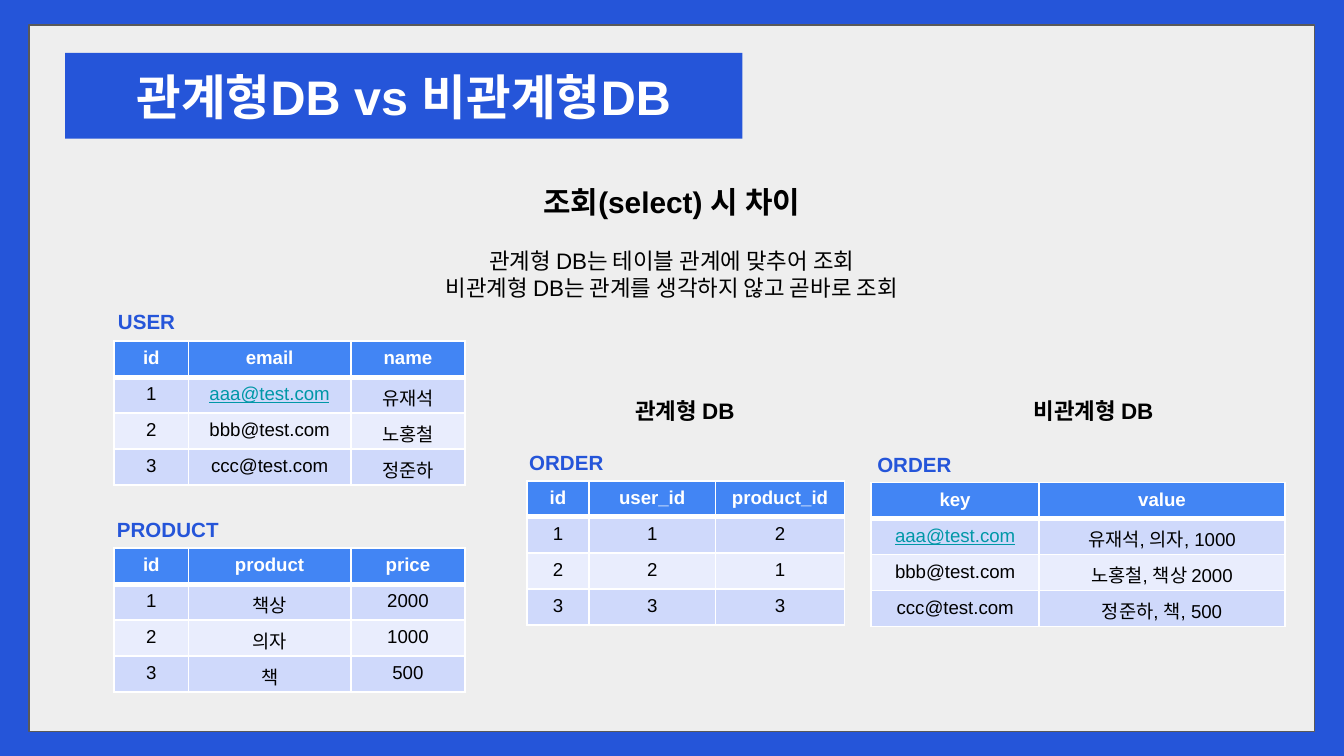
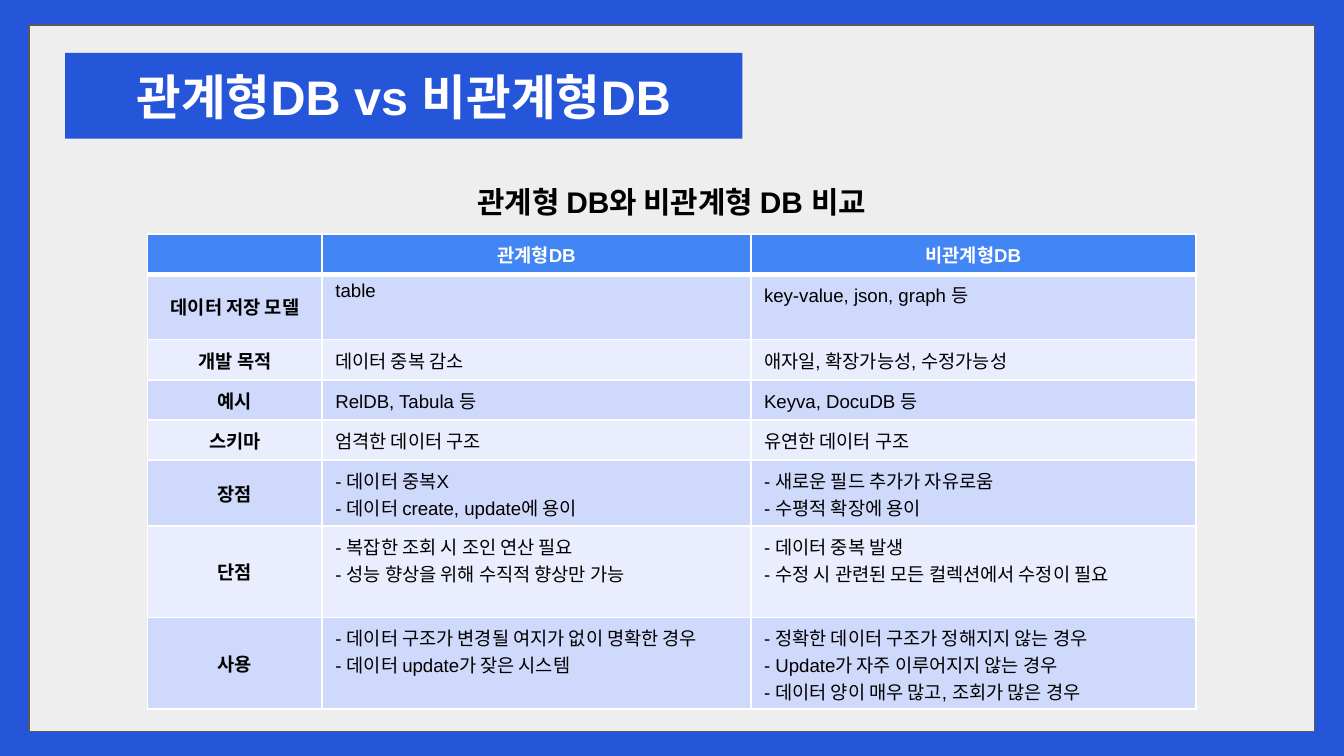
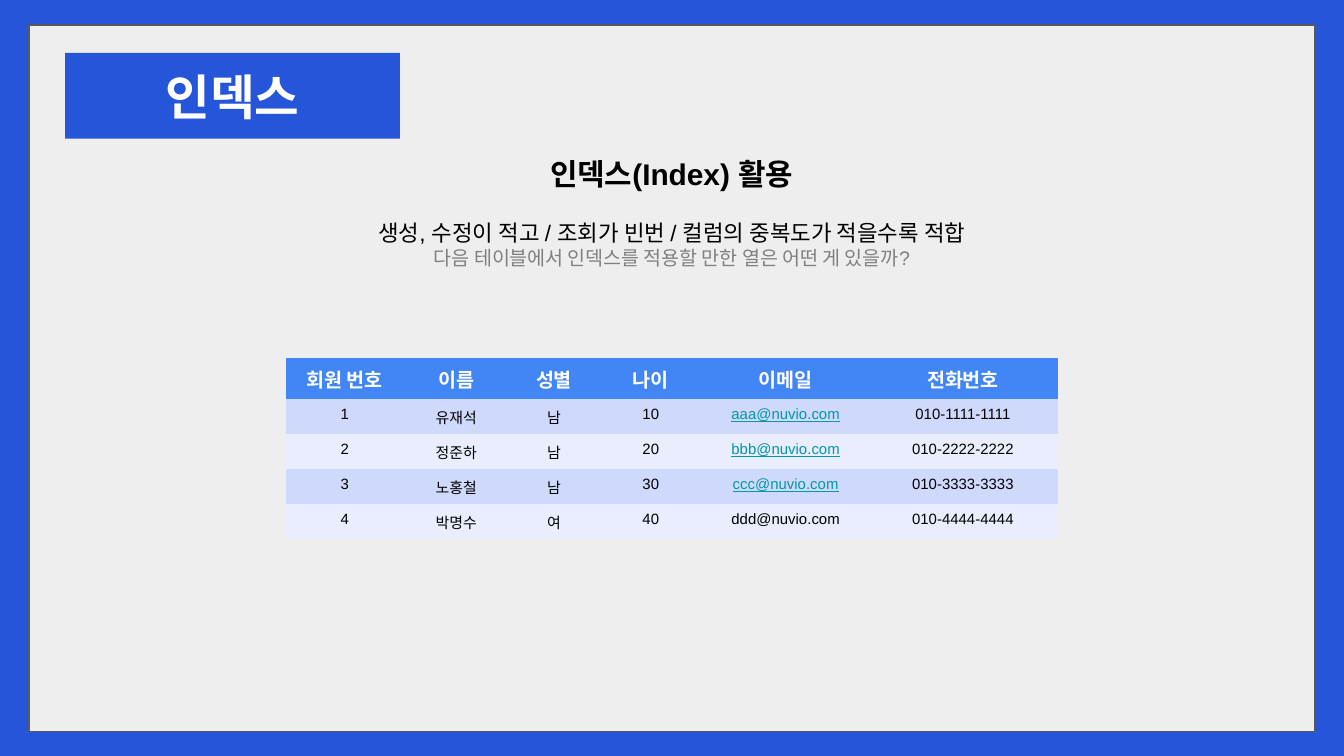
from lxml.etree import SubElement
from pptx import Presentation
from pptx.dml.color import RGBColor
from pptx.enum.shapes import MSO_SHAPE
from pptx.enum.text import MSO_ANCHOR, MSO_AUTO_SIZE, PP_ALIGN
from pptx.oxml import parse_xml
from pptx.oxml.ns import nsdecls, qn
from pptx.util import Cm, Pt

INK = {
    "blue": "2555D9", "paper": "EEEEEE", "edge": "595959", "head": "4285F4",
    "odd": "CFD9FB", "even": "E9EDFD", "link": "0097A7", "gray": "808080",
    "white": "FFFFFF", "black": "000000",
}
FONT = "Arial"
VERSUS = "관계형DB vs 비관계형DB"
LINKS = {"aaa@test.com", "aaa@nuvio.com", "bbb@nuvio.com", "ccc@nuvio.com"}


def tint(name):
    return RGBColor.from_string(INK[name])


def paint(fill, name):
    fill.solid()
    fill.fore_color.rgb = tint(name)


def style(line, size, color="black", bold=False, align=PP_ALIGN.CENTER):
    line.alignment = align
    for run in line.runs:
        font = run.font
        font.name, font.size, font.bold = FONT, Pt(size), bold
        font.color.rgb = tint(color)


def border(cell, tall):
    props = cell.get_or_add_tcPr()
    for spot, side in enumerate("LRTB"):
        width = Pt(tall.get(side, 1))
        if tall:
            body = f'<a:solidFill><a:srgbClr val="{INK["white"]}"/></a:solidFill>'
        else:
            body = "<a:noFill/>"
        props.insert(spot, parse_xml(
            f'<a:ln{side} {nsdecls("a")} w="{width}">{body}</a:ln{side}>'))


class Deck:
    def __init__(self):
        self.file = Presentation()
        self.file.slide_width = Cm(25.4)
        self.file.slide_height = Cm(14.29)
        self.page = None
        paint(self.file.slide_master.background.fill, "blue")

    def start(self, title, width):
        first = self.page is None
        self.page = self.file.slides.add_slide(self.file.slide_layouts[5])
        if first:
            self.frame()
        box = self.page.shapes.title
        box.left, box.top, box.width, box.height = Cm(1.23), Cm(1), Cm(width), Cm(1.62)
        paint(box.fill, "blue")
        text = box.text_frame
        text.text = title
        text.auto_size = MSO_AUTO_SIZE.NONE
        text.vertical_anchor = MSO_ANCHOR.MIDDLE
        style(text.paragraphs[0], 26, "white", True)

    def frame(self):
        card = self.page.shapes.add_shape(
            MSO_SHAPE.RECTANGLE, Cm(0.55), Cm(0.47), Cm(24.3), Cm(13.36))
        card.shadow.inherit = False
        paint(card.fill, "paper")
        card.line.color.rgb = tint("edge")
        card.line.width = Pt(0.75)
        self.file.slide_master.shapes.element.insert(2, card.element)

    def text(self, words, left, top, width, height, size, **look):
        box = self.page.shapes.add_textbox(Cm(left), Cm(top), Cm(width), Cm(height))
        body = box.text_frame
        body.word_wrap = True
        body.margin_left = body.margin_right = Cm(0.25)
        body.margin_top = body.margin_bottom = Cm(0.25)
        body.text = words
        for line in body.paragraphs:
            style(line, size, **look)
        return body

    def topic(self, words, top=3.23):
        self.text(words, 8.13, top, 9.13, 1.19, 16, bold=True)

    def note(self, words, top=4.42):
        return self.text(words, 4.75, top, 15.9, 1.55, 12)

    def label(self, words, left, top, width):
        self.text(words, left, top, width, 0.99, 11,
                  color="blue", bold=True, align=PP_ALIGN.LEFT)

    def kind(self, words, left):
        self.text(words, left, 7.26, 3.89, 1.02, 12, bold=True)

    def table(self, left, top, cols, rows, data, size=10, head=10,
              lined=True, foot=0.13, listed=False):
        shape = self.page.shapes.add_table(
            len(rows), len(cols), Cm(left), Cm(top), Cm(sum(cols)), Cm(sum(rows)))
        grid = shape.table
        grid.horz_banding = False
        for col, width in zip(grid.columns, cols):
            col.width = Cm(width)
        for row, height in zip(grid.rows, rows):
            row.height = Cm(height)
        for r, line in enumerate(data):
            for c, words in enumerate(line):
                cell = grid.cell(r, c)
                cell.margin_left = cell.margin_right = Cm(0.25)
                cell.margin_top, cell.margin_bottom = Cm(0.13), Cm(foot)
                cell.text = words
                side = listed and c == 0
                if side:
                    cell.vertical_anchor = MSO_ANCHOR.MIDDLE
                paint(cell.fill, "head" if r == 0 else "odd" if r % 2 else "even")
                align = PP_ALIGN.LEFT if listed and r and c else PP_ALIGN.CENTER
                color = "link" if words in LINKS else "black" if r else "white"
                for item in cell.text_frame.paragraphs:
                    style(item, size if r else head, color, r == 0 or side, align)
                    for run in item.runs:
                        run.font.underline = words in LINKS
        for spot, cell in enumerate(shape.element.iter(qn("a:tc"))):
            r = spot // len(cols)
            tall = {0: {"B": 3}, 1: {"T": 3}}.get(r, {"B": 1})
            border(cell, tall if lined else {})
        for item in shape.element.iter(qn("a:p")):
            if item.find(qn("a:r")) is None:
                SubElement(item, qn("a:endParaRPr"), sz=str(head * 100))


def query(deck):
    deck.start(VERSUS, 12.8)
    deck.topic("조회(select) 시 차이")
    deck.note("관계형 DB는 테이블 관계에 맞추어 조회\n"
              "비관계형 DB는 관계를 생각하지 않고 곧바로 조회")
    deck.kind("관계형 DB", 11)
    deck.kind("비관계형 DB", 18.72)
    deck.label("USER", 1.98, 5.61, 1.7)
    deck.label("PRODUCT", 1.96, 9.53, 2.77)
    deck.label("ORDER", 9.75, 8.28, 2.01)
    deck.label("ORDER", 16.33, 8.31, 2.01)
    rows = [0.68] * 4
    wide = [1.4, 3.07, 2.16]
    sets = [
        (2.16, 6.45, wide, [
            ("id", "email", "name"), ("1", "aaa@test.com", "유재석"),
            ("2", "bbb@test.com", "노홍철"), ("3", "ccc@test.com", "정준하")]),
        (2.16, 10.36, wide, [
            ("id", "product", "price"), ("1", "책상", "2000"),
            ("2", "의자", "1000"), ("3", "책", "500")]),
        (9.96, 9.09, [1.17, 2.39, 2.44], [
            ("id", "user_id", "product_id"), "112", "221", "333"]),
        (16.46, 9.12, [3.18, 4.64], [
            ("key", "value"), ("aaa@test.com", "유재석, 의자, 1000"),
            ("bbb@test.com", "노홍철, 책상 2000"),
            ("ccc@test.com", "정준하, 책, 500")]),
    ]
    for left, top, cols, data in sets:
        deck.table(left, top, cols, rows, data, foot=0)


def compare(deck):
    deck.start(VERSUS, 12.8)
    deck.topic("관계형 DB와 비관계형 DB 비교")
    data = [
        ("", "관계형DB", "비관계형DB"),
        ("데이터 저장 모델", "table", "key-value, json, graph 등"),
        ("개발 목적", "데이터 중복 감소", "애자일, 확장가능성, 수정가능성"),
        ("예시", "RelDB, Tabula 등", "Keyva, DocuDB 등"),
        ("스키마", "엄격한 데이터 구조", "유연한 데이터 구조"),
        ("장점", "- 데이터 중복X\n- 데이터 create, update에 용이",
         "- 새로운 필드 추가가 자유로움\n- 수평적 확장에 용이"),
        ("단점", "- 복잡한 조회 시 조인 연산 필요\n- 성능 향상을 위해 수직적 향상만 가능",
         "- 데이터 중복 발생\n- 수정 시 관련된 모든 컬렉션에서 수정이 필요"),
        ("사용", "- 데이터 구조가 변경될 여지가 없이 명확한 경우\n- 데이터 update가 잦은 시스템",
         "- 정확한 데이터 구조가 정해지지 않는 경우\n- Update가 자주 이루어지지 않는 경우\n"
         "- 데이터 양이 매우 많고, 조회가 많은 경우"),
    ]
    rows = [0.76, 1.24, 0.76, 0.76, 0.76, 1.24, 1.73, 1.73]
    deck.table(2.79, 4.42, [3.3, 8.1, 8.41], rows, data, listed=True)


def index(deck):
    deck.start("인덱스", 6.33)
    deck.topic("인덱스(Index) 활용", 2.69)
    body = deck.note("생성, 수정이 적고 / 조회가 빈번 / 컬럼의 중복도가 적을수록 적합\n"
                     "다음 테이블에서 인덱스를 적용할 만한 열은 어떤 게 있을까?", 3.89)
    style(body.paragraphs[1], 10.5, "gray")
    data = [
        ("회원 번호", "이름", "성별", "나이", "이메일", "전화번호"),
        ("1", "유재석", "남", "10", "aaa@nuvio.com", "010-1111-1111"),
        ("2", "정준하", "남", "20", "bbb@nuvio.com", "010-2222-2222"),
        ("3", "노홍철", "남", "30", "ccc@nuvio.com", "010-3333-3333"),
        ("4", "박명수", "여", "40", "ddd@nuvio.com", "010-4444-4444"),
    ]
    deck.table(5.41, 6.76, [2.21, 2.01, 1.68, 1.98, 3.12, 3.58],
               [0.79] + [0.66] * 4, data, size=8, head=10.5, lined=False)


def main():
    deck = Deck()
    for build in (query, compare, index):
        build(deck)
    deck.file.save("out.pptx")


if __name__ == "__main__":
    main()
